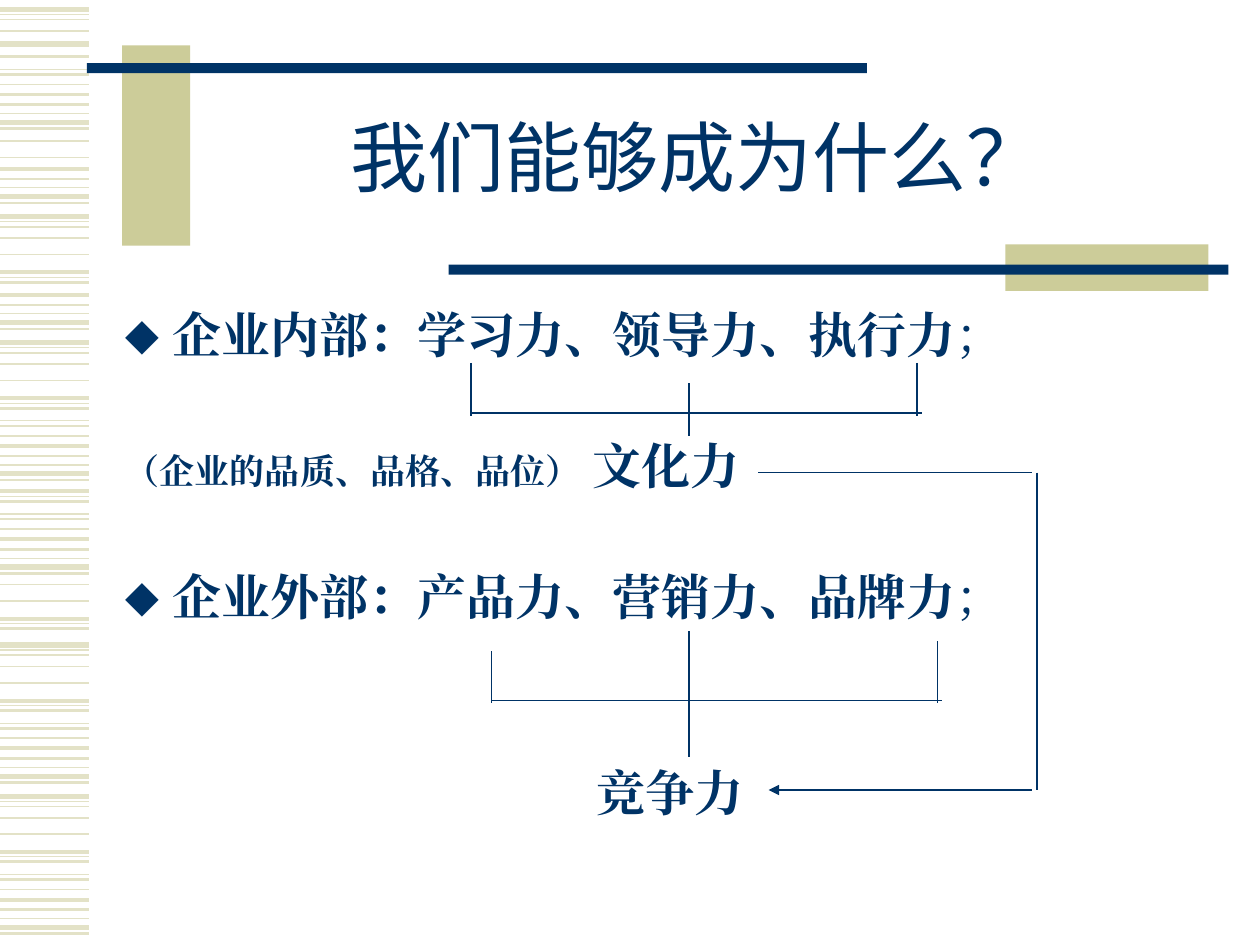
import pptx
import pptx.util
import pptx.dml.color
import pptx.enum.dml
import pptx.enum.lang
import pptx.enum.shapes
import pptx.enum.text
import pptx.oxml
import pptx.oxml.ns
from lxml import etree

NAVY, KHAKI, STRIPE = "003366", "CCCC99", "E3E2C7"
SANS, SERIF = "Noto Sans CJK SC", "Times New Roman"
COLUMNS, ROWS = 100, 75
ALIGN = pptx.enum.text.PP_ALIGN
ANCHOR = pptx.enum.text.MSO_ANCHOR


def colour(hex_string):
    return pptx.dml.color.RGBColor.from_string(hex_string)


def add_xml(parent, tag, **attributes):
    return etree.SubElement(parent, pptx.oxml.ns.qn(tag), attributes)


def apply(target, values):
    for key, value in values.items():
        setattr(target, key, value)


class SlideBuilder:
    def __init__(self, deck):
        self.slide = deck.slides.add_slide(deck.slide_layouts[1])
        self.cell_width = deck.slide_width / COLUMNS
        self.cell_height = deck.slide_height / ROWS

    def x(self, column):
        return round(column * self.cell_width)

    def y(self, row):
        return round(row * self.cell_height)

    def line(self, start, end, hex_string=NAVY, weight=1, arrow=False):
        connector = self.slide.shapes.add_connector(
            pptx.enum.shapes.MSO_CONNECTOR.STRAIGHT,
            self.x(start[0]), self.y(start[1]), self.x(end[0]), self.y(end[1]))
        connector.line.color.rgb = colour(hex_string)
        connector.line.width = pptx.util.Pt(weight)
        if arrow:
            add_xml(connector.line._get_or_add_ln(), "a:tailEnd", type="triangle")
        add_xml(connector._element.spPr, "a:effectLst")

    def bar(self, column, row, width, height, hex_string):
        bar = self.slide.shapes.add_shape(
            pptx.enum.shapes.MSO_SHAPE.RECTANGLE,
            self.x(column), self.y(row), self.x(width), self.y(height))
        bar.shadow.inherit = False
        bar.fill.solid()
        bar.fill.fore_color.rgb = colour(hex_string)
        bar.line.fill.background()

    def placeholder(self, index, column, row, width, height, anchor):
        holder = self.slide.placeholders[index]
        apply(holder, {"left": self.x(column), "top": self.y(row),
                       "width": self.x(width), "height": self.y(height)})
        apply(holder.text_frame, {"word_wrap": True, "vertical_anchor": anchor,
                                  "auto_size": pptx.enum.text.MSO_AUTO_SIZE.NONE})
        return holder.text_frame

    def paragraph(self, paragraph, runs, font, spacing, align=ALIGN.LEFT,
                  before=0, margin=0, hanging=0, bullet=None):
        properties = paragraph._p.get_or_add_pPr()
        properties.set("marL", str(self.x(margin)))
        properties.set("indent", str(-self.x(hanging)))
        if bullet:
            bullet_colour = add_xml(properties, "a:buClr")
            add_xml(bullet_colour, "a:srgbClr", val=NAVY)
            add_xml(properties, "a:buChar", char=bullet)
        else:
            add_xml(properties, "a:buNone")
        apply(paragraph, {"alignment": align, "line_spacing": spacing,
                          "space_before": pptx.util.Pt(before)})
        for text, size, bold in runs:
            run = paragraph.add_run()
            run.text = text
            apply(run.font, {"name": font, "size": pptx.util.Pt(size), "bold": bold,
                             "language_id": pptx.enum.lang.MSO_LANGUAGE_ID.SIMPLIFIED_CHINESE})
            run.font.color.rgb = colour(NAVY)
            add_xml(run._r.get_or_add_rPr(), "a:ea", typeface=font)

    def bracket(self, left, right, base, left_top, right_top, stem):
        """Joins three items from above: two sides, a base and a middle stem."""
        self.line((left, left_top), (left, base + 0.2))
        self.line((left, base), (right + 0.4, base))
        self.line((right, right_top), (right, base + 0.2))
        self.line((54.7, stem[0]), (54.7, stem[1]))


def draw_stripes(builder):
    # Two motifs of (row offset, weight), repeated whole or in part
    head = [(0, 3), (0.4, 0.75), (0.8, 1), (1.7, 1), (3, 1),
            (4.4, 2.25), (4.8, 0.75), (5.2, 1.5)]
    tail = [(0, 0.75), (0.4, 1.5), (1.2, 1), (2, 2.25), (2.8, 1.5),
            (3.5, 0.75), (4.2, 3), (4.7, 1.5)]
    bands = [(0.75, head[:4]), (3.5, [(0, 3), (1, 1.5)]), (5.5, tail),
             (9.5, head[3:5]), (11.4, tail[3:]), (17.2, head), (21.4, tail[3:]),
             (27.2, head), (33.4, tail), (34.6, head[5:]), (40.8, tail),
             (44.7, head[3:]), (51.2, head), (57.4, tail), (63.2, head), (69.4, tail)]
    for start, motif in bands:
        for offset, weight in motif:
            builder.line((0, start + offset), (7.1, start + offset), STRIPE, weight)


def main():
    deck = pptx.Presentation()
    deck.slide_width, deck.slide_height = pptx.util.Inches(10), pptx.util.Inches(7.5)
    builder = SlideBuilder(deck)

    # Side stripes and title bars
    draw_stripes(builder)
    for column, row, width, height, hex_string in [
            (9.7, 3.6, 5.4, 15.9, KHAKI), (6.9, 5, 61.9, 0.8, NAVY),
            (79.8, 19.4, 16.1, 3.7, KHAKI), (35.6, 21, 61.9, 0.8, NAVY)]:
        builder.bar(column, row, width, height, hex_string)

    # Title
    title = builder.placeholder(0, 15, 6.7, 80.7, 12.5, ANCHOR.MIDDLE)
    builder.paragraph(title.paragraphs[0], [("我们能够成为什么？", 44, False)],
                      SANS, 0.85, ALIGN.CENTER)

    # Strengths inside and outside the company
    hanging = {"margin": 3.8, "hanging": 3.8}
    strengths = [
        ([("企业内部：学习力、领导力、执行力", 28, True), ("；", 28, False)],
         {**hanging, "bullet": "⬥"}),
        ([("（企业的品质、品格、品位）", 20, True), (" ", 28, False), ("文化力", 28, True)],
         {**hanging, "before": 44.5}),
        ([("企业外部：产品力、营销力、品牌力", 28, True), ("；", 28, False)],
         {**hanging, "before": 44.5, "bullet": "⬥"}),
        ([("竞争力", 28, True)],
         {"before": 82, "margin": 1.5, "align": ALIGN.CENTER})]
    body = builder.placeholder(1, 8.9, 24.2, 87, 42.4, ANCHOR.TOP)
    for number, (runs, layout) in enumerate(strengths):
        paragraph = body.add_paragraph() if number else body.paragraphs[0]
        builder.paragraph(paragraph, runs, SERIF, 0.9, **layout)

    # Brackets below each group of strengths
    builder.bracket(37.4, 72.8, 32.8, 28.8, 28.8, (30.4, 34.6))
    builder.bracket(39, 74.4, 55.6, 51.7, 50.9, (50.1, 60.1))

    # Path from culture to competitiveness
    builder.line((60.2, 37.5), (81.9, 37.5))
    builder.line((81.9, 62.7), (61, 62.7), arrow=True)
    builder.line((82.3, 37.5), (82.3, 62.7), weight=0.75)

    deck.save("out.pptx")


if __name__ == "__main__":
    main()
